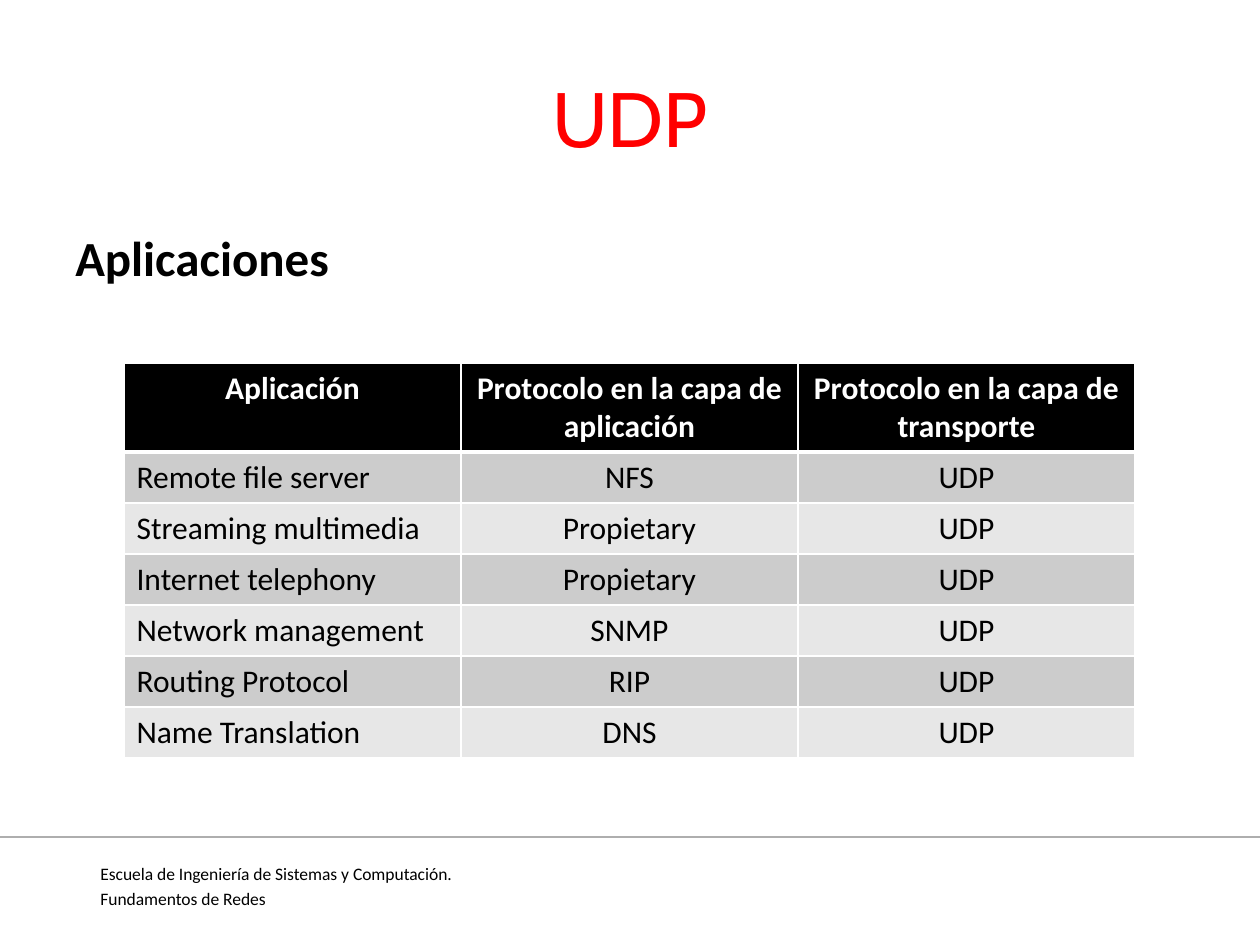
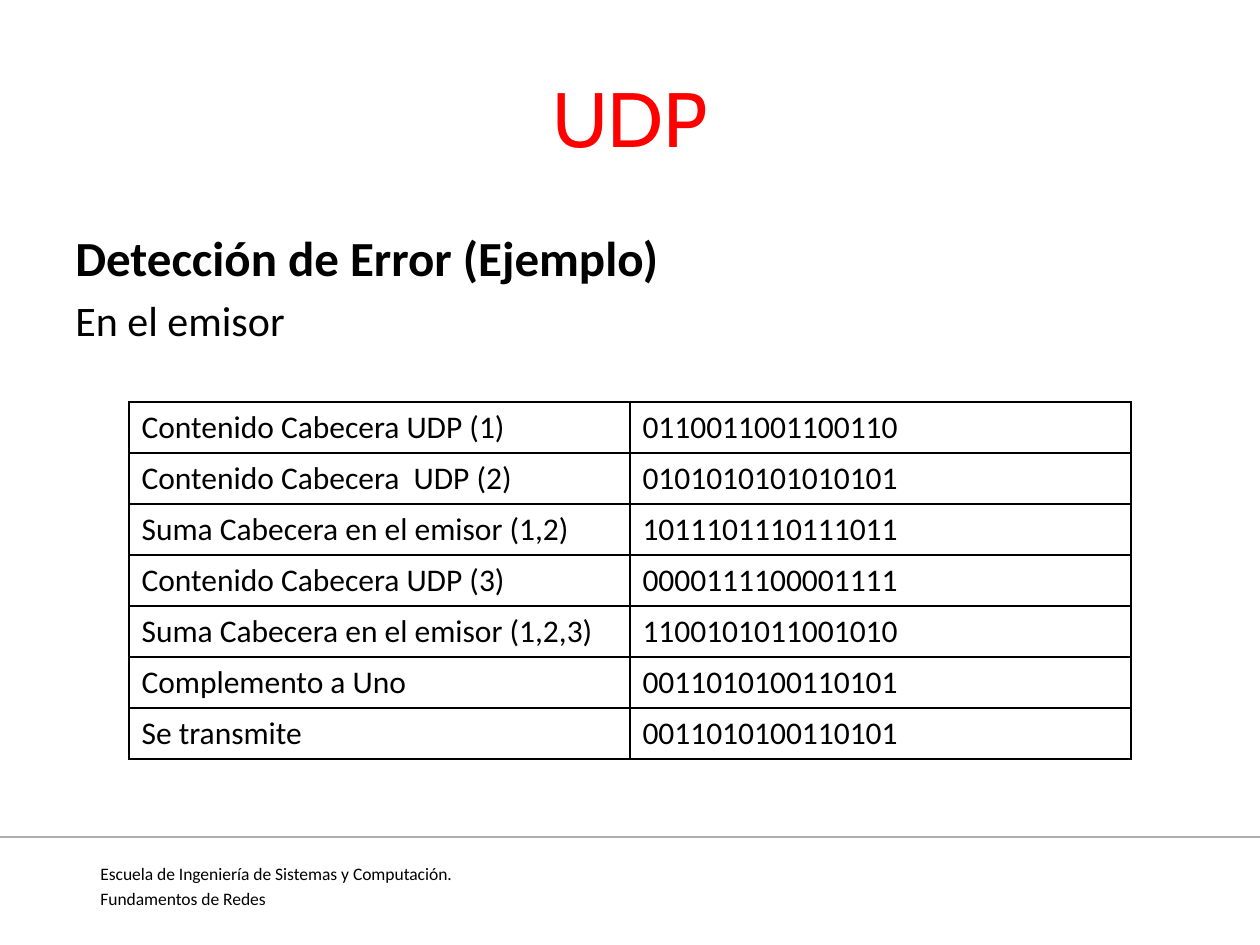
from lxml import etree
from pptx import Presentation
from pptx import util as u
from pptx.dml.color import RGBColor
from pptx.enum import shapes, text
from pptx.oxml import ns

SCALE = u.Inches(1) / 126
SLIDE_WIDTH, SLIDE_HEIGHT = 1260, 945
ROW_HEIGHT = 51

BLACK = RGBColor(0x00, 0x00, 0x00)
WHITE = RGBColor(0xFF, 0xFF, 0xFF)
RED = RGBColor(0xFF, 0x00, 0x00)
RULE_GRAY = RGBColor(0xAE, 0xAE, 0xAE)
DARK_BAND = RGBColor(0xCC, 0xCC, 0xCC)
LIGHT_BAND = RGBColor(0xE7, 0xE7, 0xE7)

LEFT, CENTER, JUSTIFY = (text.PP_ALIGN.LEFT, text.PP_ALIGN.CENTER,
                         text.PP_ALIGN.JUSTIFY)

FOOTER = ["Escuela de Ingeniería de Sistemas y Computación.", "Fundamentos de Redes"]

APPLICATIONS = [
    ("Aplicación", "Protocolo en la capa de aplicación", "Protocolo en la capa de transporte"),
    ("Remote file server", "NFS", "UDP"),
    ("Streaming multimedia", "Propietary", "UDP"),
    ("Internet telephony", "Propietary", "UDP"),
    ("Network management", "SNMP", "UDP"),
    ("Routing Protocol", "RIP", "UDP"),
    ("Name Translation", "DNS", "UDP"),
]

CHECKSUM_STEPS = [
    ("Contenido Cabecera UDP (1)", "0110011001100110"),
    ("Contenido Cabecera  UDP (2)", "0101010101010101"),
    ("Suma Cabecera en el emisor (1,2)", "1011101110111011"),
    ("Contenido Cabecera UDP (3)", "0000111100001111"),
    ("Suma Cabecera en el emisor (1,2,3)", "1100101011001010"),
    ("Complemento a Uno", "0011010100110101"),
    ("Se transmite", "0011010100110101"),
]


def px(length):
    return u.Emu(round(length * SCALE))


def write(paragraph, content, size=18, font="Calibri", color=BLACK, bold=False,
          align=LEFT, spacing=0.0):
    paragraph.alignment = align
    paragraph.space_before = u.Pt(size * spacing)
    run = paragraph.add_run()
    run.text = content
    run.font.size = u.Pt(size)
    run.font.name = font
    run.font.bold = bold
    run.font.color.rgb = color


def set_border(cell, side, color, width):
    properties = cell._tc.get_or_add_tcPr()
    line = etree.SubElement(properties, ns.qn(f"a:ln{side}"), w=str(u.Pt(width)))
    fill = etree.SubElement(line, ns.qn("a:solidFill"))
    etree.SubElement(fill, ns.qn("a:srgbClr"), val=str(color))


class Deck:
    def __init__(self):
        self.presentation = Presentation()
        self.presentation.slide_width = px(SLIDE_WIDTH)
        self.presentation.slide_height = px(SLIDE_HEIGHT)
        self.slide = None

    def add_slide(self, title, body):
        self.slide = self.presentation.slides.add_slide(self.presentation.slide_layouts[6])
        self.add_text(88, 857, 1131, 49, [(line, {"size": 10}) for line in FOOTER],
                      align=JUSTIFY, spacing=0.2)
        self.add_text(63, 38, 1134, 158, [(title, {})], anchor=text.MSO_ANCHOR.MIDDLE,
                      size=44, font="Cabin", color=RED, align=CENTER)
        self.add_text(63, 221, 1134, 624, body, align=JUSTIFY, spacing=0.2)
        self.add_rule(837)

    def add_text(self, left, top, width, height, lines, anchor=text.MSO_ANCHOR.TOP, **style):
        shape = self.slide.shapes.add_textbox(px(left), px(top), px(width), px(height))
        frame = shape.text_frame
        frame.word_wrap = True
        frame.vertical_anchor = anchor
        for index, (content, changes) in enumerate(lines):
            paragraph = frame.add_paragraph() if index else frame.paragraphs[0]
            write(paragraph, content, **{**style, **changes})

    def add_rule(self, top):
        line = self.slide.shapes.add_connector(
            shapes.MSO_CONNECTOR.STRAIGHT, 0, px(top), px(SLIDE_WIDTH), px(top))
        line.line.color.rgb = RULE_GRAY
        line.line.width = u.Pt(0.75)
        etree.SubElement(line._element.spPr, ns.qn("a:effectLst"))

    def add_table(self, top, column_width, rows, border, header_height=None):
        width = column_width * len(rows[0])
        heights = [ROW_HEIGHT] * len(rows)
        if header_height:
            heights[0] = header_height
        table = self.slide.shapes.add_table(
            len(rows), len(rows[0]), px((SLIDE_WIDTH - width) // 2), px(top),
            px(width), px(sum(heights))).table
        table.first_row = table.horz_banding = False
        for column in table.columns:
            column.width = px(column_width)
        for r, (values, height) in enumerate(zip(rows, heights)):
            table.rows[r].height = px(height)
            for c, value in enumerate(values):
                self.fill_cell(table.cell(r, c), value, r, c, border, bool(header_height))

    def fill_cell(self, cell, value, r, c, border, has_header):
        is_header = has_header and r == 0
        top_width = 3 if has_header and r == 1 else 1
        bottom_width = 3 if is_header else 1
        for side, width in zip("LRTB", (1, 1, top_width, bottom_width)):
            set_border(cell, side, border, width)
        if has_header:
            cell.fill.solid()
            band = DARK_BAND if r % 2 else LIGHT_BAND
            cell.fill.fore_color.rgb = BLACK if is_header else band
        else:
            cell.fill.background()
        write(cell.text_frame.paragraphs[0], value, bold=is_header,
              color=WHITE if is_header else BLACK,
              align=CENTER if is_header or (has_header and c) else LEFT)


def main():
    deck = Deck()
    heading = {"size": 28, "bold": True}

    deck.add_slide("UDP", [("Aplicaciones", heading)])
    deck.add_table(363, 337, APPLICATIONS, WHITE, header_height=89)

    deck.add_slide("UDP", [("Detección de Error (Ejemplo)", heading),
                           ("En el emisor", {"size": 24})])
    deck.add_table(402, 501, CHECKSUM_STEPS, BLACK)

    deck.presentation.save("out.pptx")


if __name__ == "__main__":
    main()
